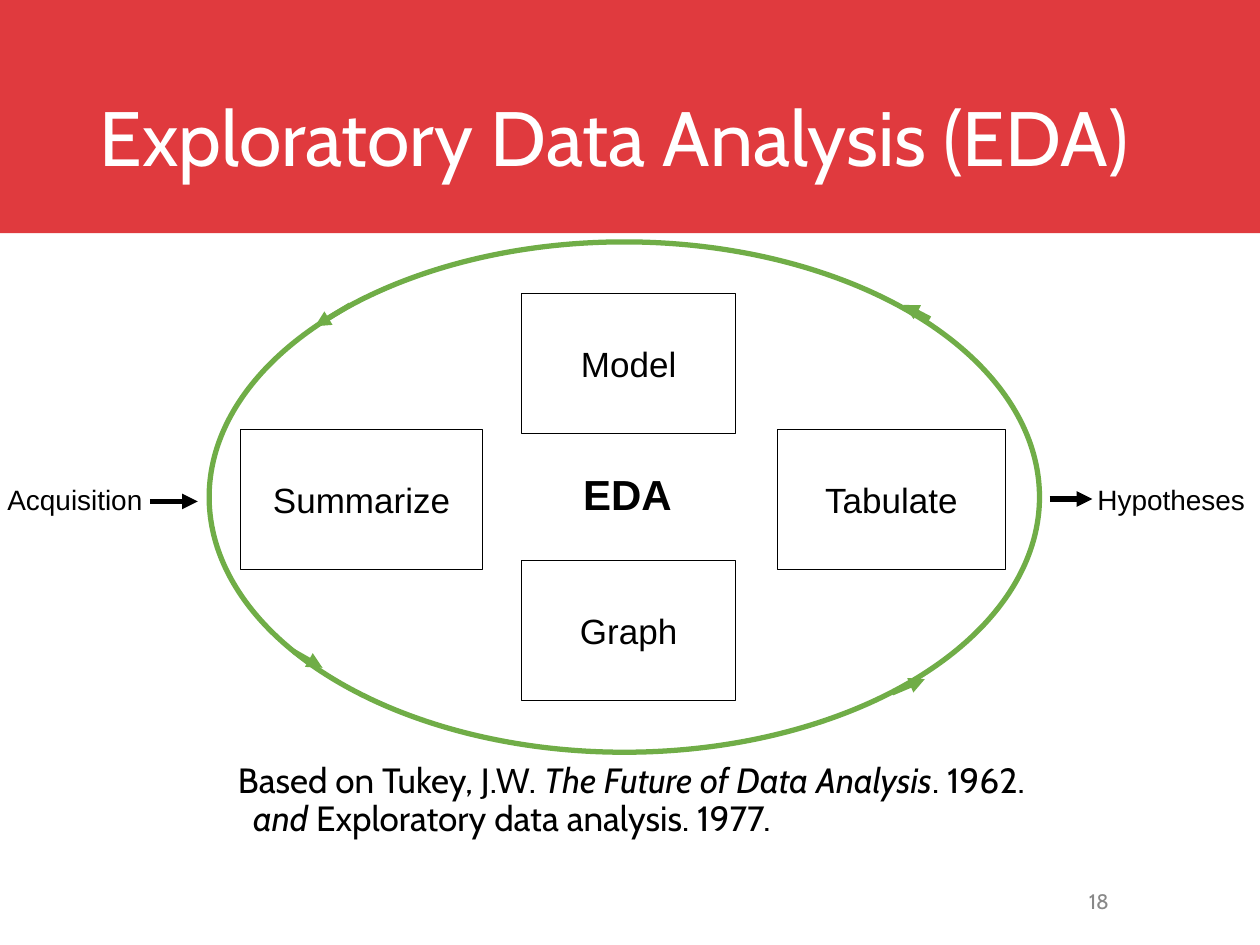
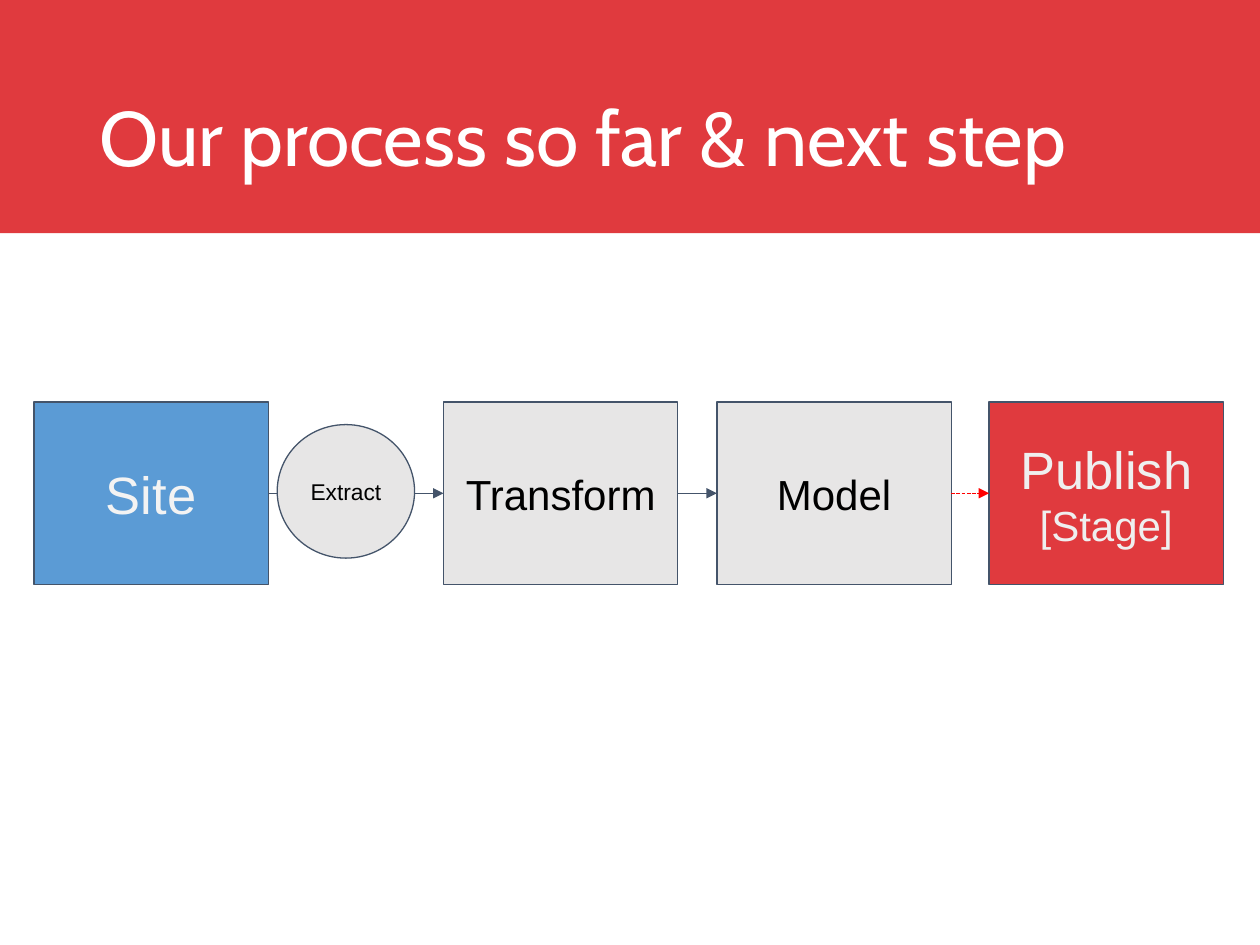
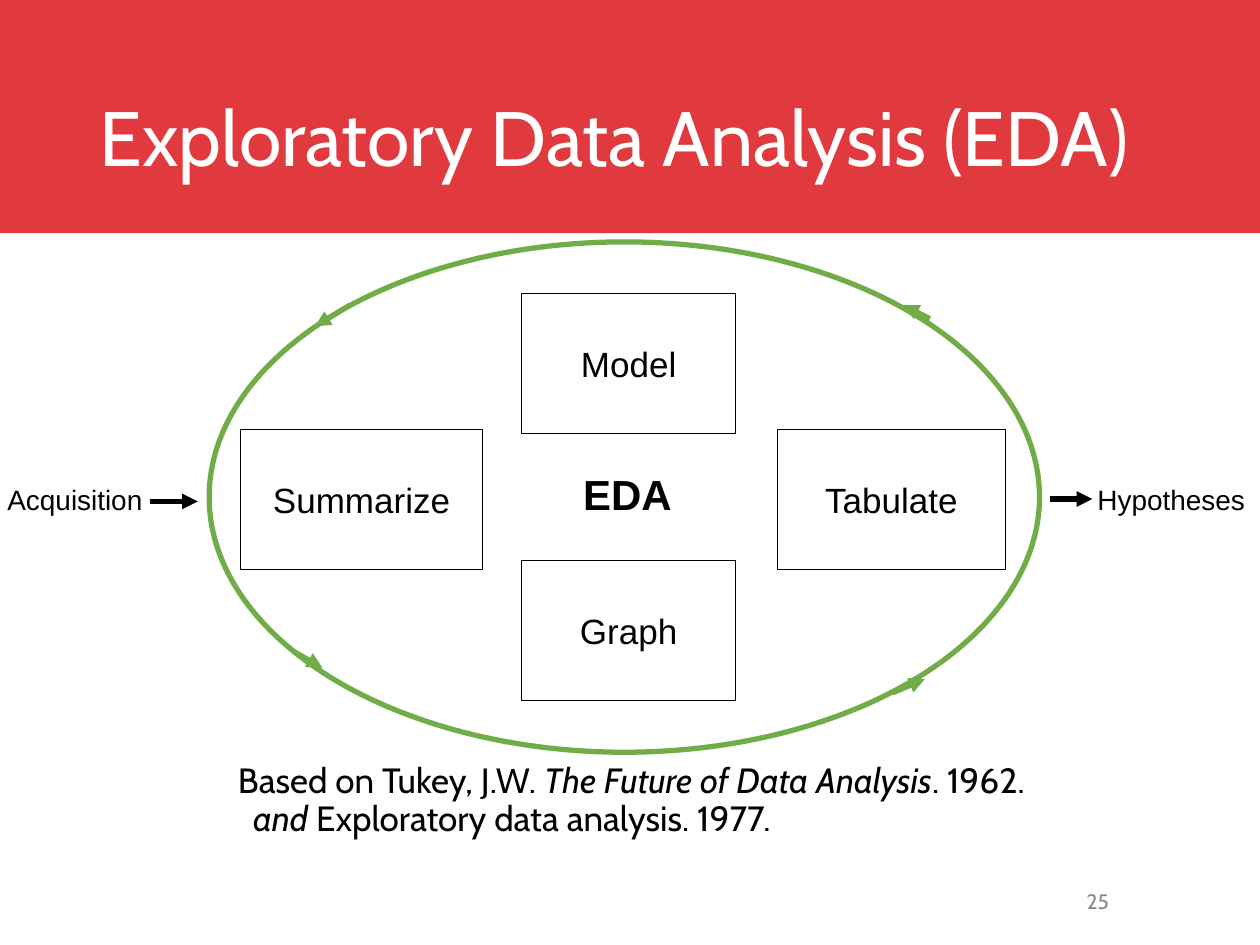
from dataclasses import dataclass

from pptx import Presentation
from pptx.dml.color import RGBColor
from pptx.enum.dml import MSO_LINE
from pptx.enum.shapes import MSO_CONNECTOR, MSO_SHAPE
from pptx.enum.text import MSO_ANCHOR, PP_ALIGN
from pptx.oxml.ns import qn
from pptx.util import Inches, Pt
from lxml.etree import SubElement


@dataclass(frozen=True)
class Theme:
    # Colours
    red: str = "E03A3E"
    white: str = "FFFFFF"
    black: str = "000000"
    grey: str = "888888"
    green: str = "70AD47"
    blue: str = "5B9BD5"
    slate: str = "44546A"
    pale: str = "E7E6E6"
    light: str = "F3F3F3"
    mist: str = "EFEFEF"
    alert: str = "FF0000"
    # Fonts
    head: str = "Cabin"
    body: str = "Arial"
    # Type sizes
    title: int = 44
    large: int = 30
    mid: int = 24
    base: int = 20
    label: int = 16
    small: int = 13
    page: int = 12
    # Line widths
    thin: float = 0.75
    thick: float = 3


T = Theme()


def rgb(code):
    return RGBColor.from_string(code)


# Text
def style(para, size, color=T.black, font=T.body, align=PP_ALIGN.CENTER, bold=False):
    para.alignment = align
    para.font.size = Pt(size)
    para.font.name = font
    para.font.bold = bold
    para.font.color.rgb = rgb(color)


def add_text(slide, text, at, size, anchor=MSO_ANCHOR.TOP, **look):
    frame = slide.shapes.add_textbox(*map(Inches, at)).text_frame
    frame.word_wrap = True
    frame.vertical_anchor = anchor
    para = frame.paragraphs[0]
    para.text = text
    style(para, size, **look)
    return frame


# Shapes: each line is (text, size, colour)
def add_box(slide, at, lines=(), fill=None, edge=T.black, width=T.thin,
            kind=MSO_SHAPE.RECTANGLE):
    box = slide.shapes.add_shape(kind, *map(Inches, at))
    box.shadow.inherit = False
    if fill:
        box.fill.solid()
        box.fill.fore_color.rgb = rgb(fill)
    else:
        box.fill.background()
    if edge:
        box.line.color.rgb = rgb(edge)
        box.line.width = Pt(width)
    else:
        box.line.fill.background()
    frame = box.text_frame
    frame.vertical_anchor = MSO_ANCHOR.MIDDLE
    frame.word_wrap = kind == MSO_SHAPE.RECTANGLE
    for i, (text, size, color) in enumerate(lines):
        para = frame.add_paragraph() if i else frame.paragraphs[0]
        para.text = text
        style(para, size, color)
    return box


def add_arrow(slide, ends, color, width, dash=None):
    arrow = slide.shapes.add_connector(MSO_CONNECTOR.STRAIGHT, *map(Inches, ends))
    arrow.line.color.rgb = rgb(color)
    arrow.line.width = Pt(width)
    if dash:
        arrow.line.dash_style = dash
    props = arrow.element.spPr
    SubElement(props.find(qn("a:ln")), qn("a:tailEnd"), type="triangle")
    SubElement(props, qn("a:effectLst"))
    return arrow


def join(slide, start, end, color, dash=None):
    arrow = add_arrow(slide, (0, 0, 1, 1), color, T.thin, dash)
    arrow.begin_connect(start, 3)
    arrow.end_connect(end, 1)


# Band, title and page number
def add_slide(deck, title, page=None):
    slide = deck.slides.add_slide(deck.slide_layouts[6])
    add_box(slide, (0, 0, 10, 1.85), fill=T.red, edge=None)
    frame = add_text(slide, title, (0.69, 0.4, 8.62, 1.45), T.title,
                     MSO_ANCHOR.MIDDLE, color=T.white, font=T.head,
                     align=PP_ALIGN.LEFT)
    frame.paragraphs[0].line_spacing = 0.9
    if page:
        add_text(slide, str(page), (7.06, 6.95, 1.84, 0.4), T.page,
                 MSO_ANCHOR.MIDDLE, color=T.grey, font=T.head,
                 align=PP_ALIGN.RIGHT)
    return slide


def add_source(slide):
    frame = add_text(slide, "", (1.79, 6.01, 6.8, 0.75), T.base)
    cites = (
        (("Based on Tukey, J.W. ", False), ("The Future of Data Analysis", True),
         (". 1962.", False)),
        (("and", True), (" Exploratory data analysis. 1977.", False)),
    )
    for i, parts in enumerate(cites):
        para = frame.add_paragraph() if i else frame.paragraphs[0]
        style(para, T.base, font=T.head, align=PP_ALIGN.LEFT)
        para.line_spacing = 0.9
        for text, slant in parts:
            run = para.add_run()
            run.text = text
            run.font.italic = slant
    # The second line is set in a little
    para.element if hasattr(para, "element") else None
    para._p.get_or_add_pPr().set("marL", str(Inches(0.12)))


# Cycle of analysis steps
def add_cycle(deck, page):
    slide = add_slide(deck, "Exploratory Data Analysis (EDA)", page)
    add_source(slide)
    for text, left, width in (("Acquisition", -0.22, 1.63), ("Hypotheses", 8.25, 2.09)):
        add_text(slide, text, (left, 3.78, width, 0.37), T.label)
    for ends in ((1.19, 3.98, 1.57, 3.98), (8.33, 3.96, 8.67, 3.96)):
        add_arrow(slide, ends, T.black, T.thick)
    add_box(slide, (1.66, 1.92, 6.59, 4.05), fill=T.white, edge=T.green,
            width=T.thick, kind=MSO_SHAPE.OVAL)
    steps = (
        ("Summarize", 1.91, 3.41, 1.92),
        ("Tabulate", 6.17, 3.41, 1.81),
        ("Model", 4.14, 2.33, 1.7),
        ("Graph", 4.14, 4.45, 1.7),
    )
    for text, left, top, width in steps:
        add_box(slide, (left, top, width, 1.11), [(text, T.base, T.black)])
    add_text(slide, "EDA", (4.53, 3.67, 0.93, 0.5), T.mid, bold=True,
             align=PP_ALIGN.LEFT)
    turns = (
        (7.38, 2.53, 7.17, 2.42),
        (7.08, 5.5, 7.34, 5.39),
        (2.33, 5.17, 2.56, 5.3),
        (2.78, 2.42, 2.5, 2.59),
    )
    for ends in turns:
        add_arrow(slide, ends, T.green, T.thick)


# Chain of process stages
def add_chain(deck):
    slide = add_slide(deck, "Our process so far & next step")
    stages = (
        (0.27, T.blue, [("Site", T.large, T.light)]),
        (3.52, T.pale, [("Transform", T.mid, T.black)]),
        (5.69, T.pale, [("Model", T.mid, T.black)]),
        (7.85, T.red, [("Publish", T.large, T.mist), ("[Stage]", T.mid, T.mist)]),
    )
    site, change, model, stage = [
        add_box(slide, (left, 3.19, 1.86, 1.45), lines, fill, T.slate)
        for left, fill, lines in stages
    ]
    join(slide, site, change, T.slate)
    join(slide, change, model, T.slate)
    join(slide, model, stage, T.alert, MSO_LINE.SQUARE_DOT)
    add_box(slide, (2.2, 3.37, 1.09, 1.06), [("Extract", T.small, T.black)],
            T.pale, T.slate, kind=MSO_SHAPE.OVAL)


def main():
    deck = Presentation()
    deck.slide_width = Inches(10)
    deck.slide_height = Inches(7.5)
    add_cycle(deck, 18)
    add_chain(deck)
    add_cycle(deck, 25)
    deck.save("out.pptx")


if __name__ == "__main__":
    main()
